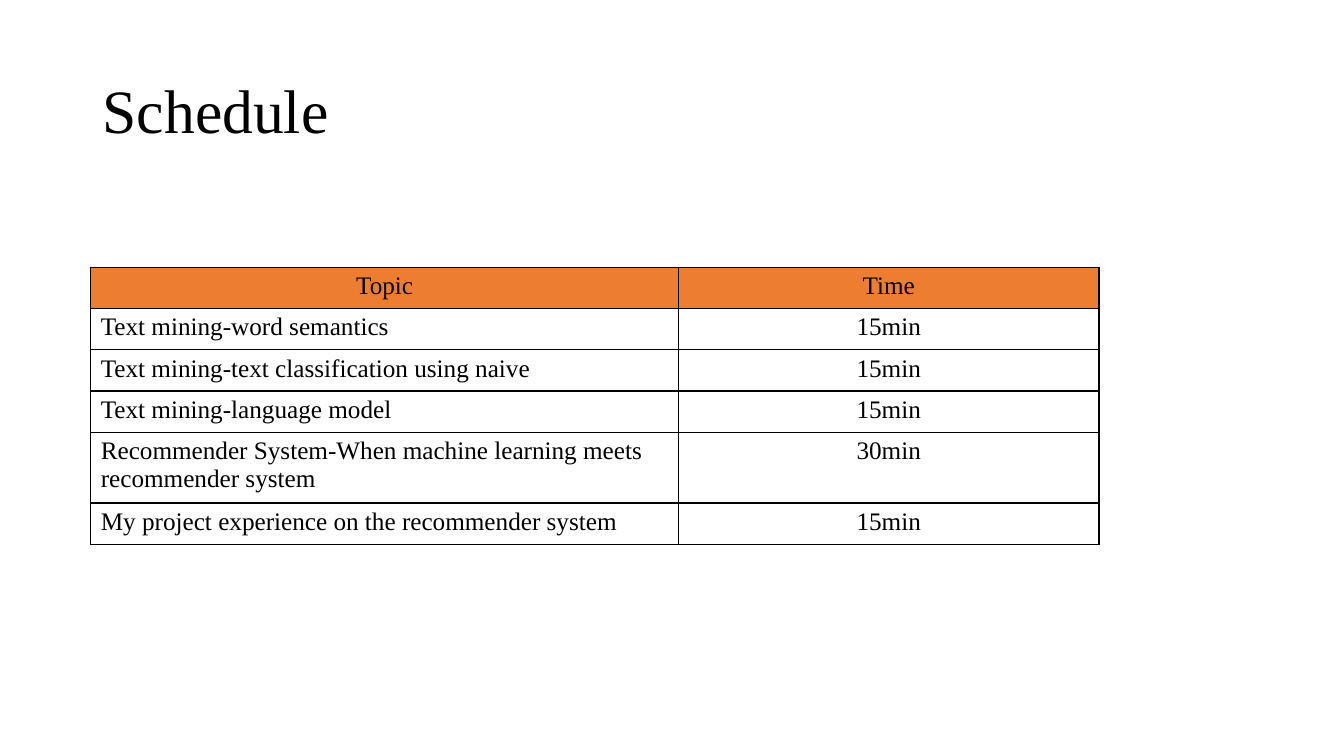
from lxml import etree
from pptx import Presentation
from pptx.dml.color import RGBColor
from pptx.enum.text import MSO_ANCHOR, PP_ALIGN
from pptx.oxml.ns import qn
from pptx.util import Inches, Pt

LEFT, CENTER = PP_ALIGN.LEFT, PP_ALIGN.CENTER
MIDDLE = MSO_ANCHOR.MIDDLE
FONT = "Times New Roman"
COLORS = {"text": "000000", "border": "000000", "header": "ED7D31"}
SCHEDULE = [
    ("Topic", "Time"),
    ("Text mining-word semantics", "15min"),
    ("Text mining-text classification using naive", "15min"),
    ("Text mining-language model", "15min"),
    ("Recommender System-When machine learning meets recommender system", "30min"),
    ("My project experience on the recommender system", "15min"),
]
COL_WIDTHS = [5.83, 4.17]
ROW_HEIGHTS = [0.41, 0.41, 0.41, 0.41, 0.65, 0.41]


def add_text(p, text, size):
    """Add one run of black text to a paragraph."""
    r = p.add_run()
    r.text = text
    r.font.name = FONT
    r.font.size = Pt(size)
    r.font.color.rgb = RGBColor.from_string(COLORS["text"])


def add_borders(cell):
    """Draw a thin solid line on all four sides of a cell."""
    tc_pr = cell._tc.get_or_add_tcPr()
    for i, side in enumerate(("lnL", "lnR", "lnT", "lnB")):
        ln = etree.Element(qn(f"a:{side}"), w=str(Pt(1)))
        fill = etree.SubElement(ln, qn("a:solidFill"))
        etree.SubElement(fill, qn("a:srgbClr"), val=COLORS["border"])
        tc_pr.insert(i, ln)


prs = Presentation()
prs.slide_width, prs.slide_height = Inches(13.33), Inches(7.5)
s = prs.slides.add_slide(prs.slide_layouts[6])

# Title
title = s.shapes.add_textbox(Inches(0.92), Inches(0.4), Inches(11.5), Inches(1.45))
tf = title.text_frame
tf.word_wrap = True
tf.vertical_anchor = MIDDLE
p = tf.paragraphs[0]
p.line_spacing = 0.9
add_text(p, "Schedule", 44)

# Schedule table
table = s.shapes.add_table(
    len(SCHEDULE), len(COL_WIDTHS), Inches(0.9), Inches(2.65),
    Inches(sum(COL_WIDTHS)), Inches(sum(ROW_HEIGHTS))).table
table.first_row = False
table.horz_banding = False
for col, width in zip(table.columns, COL_WIDTHS):
    col.width = Inches(width)
for i, (row, height) in enumerate(zip(table.rows, ROW_HEIGHTS)):
    row.height = Inches(height)
    for j, cell in enumerate(row.cells):
        if i == 0:
            cell.fill.solid()
            cell.fill.fore_color.rgb = RGBColor.from_string(COLORS["header"])
        else:
            cell.fill.background()
        add_borders(cell)
        p = cell.text_frame.paragraphs[0]
        p.alignment = LEFT if i > 0 and j == 0 else CENTER
        add_text(p, SCHEDULE[i][j], 18)

prs.save("out.pptx")
